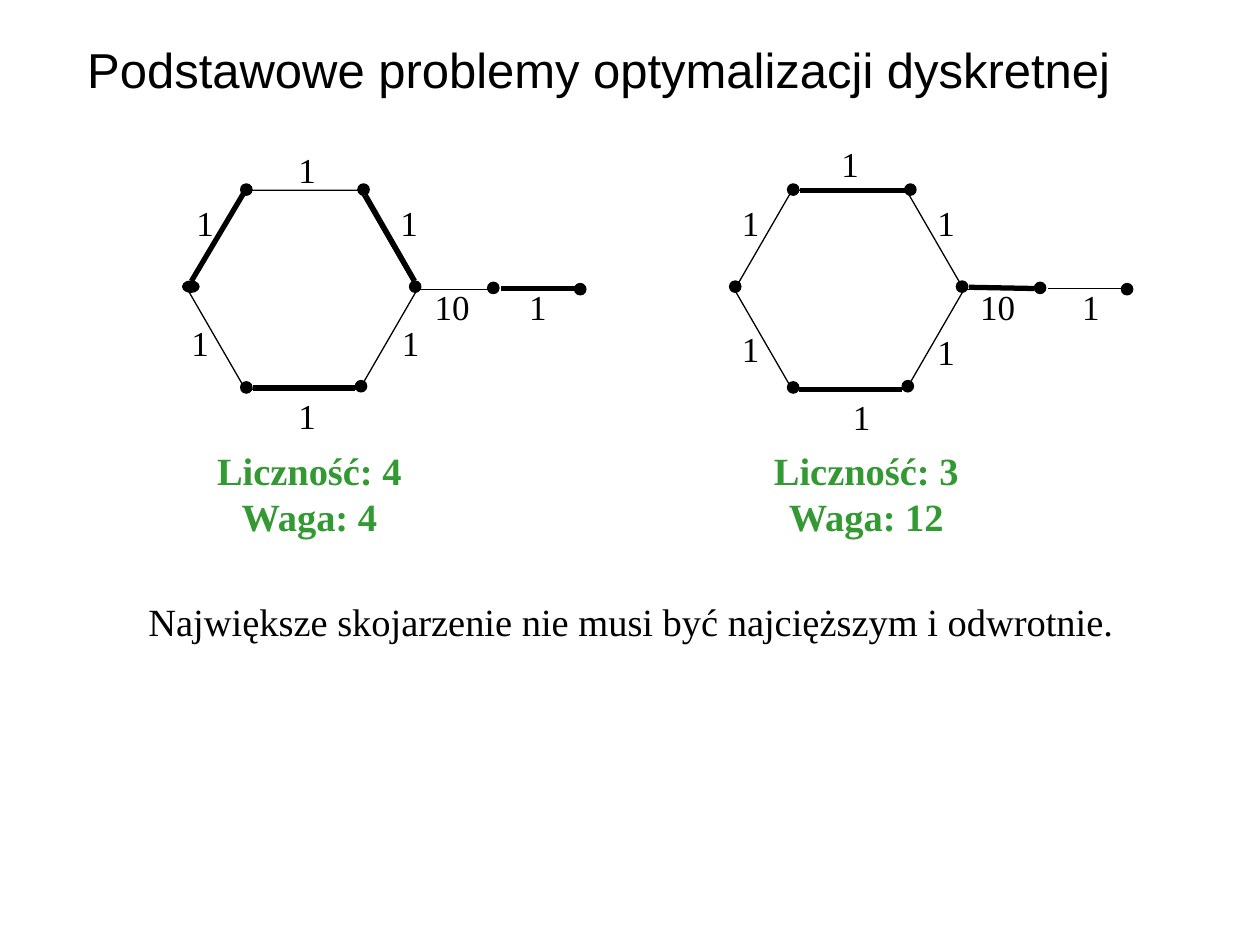
from pptx import Presentation
from pptx.dml.color import RGBColor
from pptx.enum.shapes import MSO_CONNECTOR, MSO_SHAPE
from pptx.enum.text import MSO_ANCHOR, PP_ALIGN
from pptx.oxml.ns import qn
from pptx.util import Inches, Pt
from lxml import etree

STRAIGHT = MSO_CONNECTOR.STRAIGHT
HEXAGON, OVAL = MSO_SHAPE.HEXAGON, MSO_SHAPE.OVAL
MIDDLE, TOP = MSO_ANCHOR.MIDDLE, MSO_ANCHOR.TOP
LEFT, CENTER = PP_ALIGN.LEFT, PP_ALIGN.CENTER

COLORS = {"ink": "000000", "result": "339933"}
THIN, BOLD = 0.75, 3
DOT = 0.09
HEXAGON_SIZE = (1.82, 1.58)
LABEL_HEIGHT = 0.48

TITLE = {"name": "Arial", "size": Pt(28)}
LABEL = {"name": "Times New Roman", "size": Pt(20)}
RESULT = {"name": "Times New Roman", "size": Pt(22), "bold": True}
SUMMARY = {"name": "Times New Roman", "size": Pt(22)}

NODES = [(0.42, -0.05), (1.35, -0.05), (1.76, 0.72), (1.33, 1.51),
         (0.42, 1.52), (2.38, 0.73), (3.07, 0.74)]

GRAPHS = [
    {
        "origin": (1.49, 1.51),
        "west_node": (-0.04, 0.72, 0.13),
        "tail": [(1.83, 0.79, 2.4, 0.79), (2.5, 0.79, 3.07, 0.79)],
        "matching": [(1.41, 0.04, 1.8, 0.72), (0.44, 0.03, 0.03, 0.72),
                     (0.52, 1.57, 1.33, 1.57), (2.49, 0.78, 3.08, 0.78)],
        "weights": [("1", 0.78, -0.38), ("1", 1.59, 0.04), ("1", 1.6, 0.99),
                    ("1", 0.78, 1.57), ("1", -0.07, 0.99), ("1", -0.03, 0.04),
                    ("10", 1.86, 0.71), ("1", 2.61, 0.71)],
        "result": (["Liczność: 4", "Waga: 4"], 0.01),
    },
    {
        "origin": (5.83, 1.51),
        "west_node": (-0.04, 0.72, DOT),
        "tail": [(1.83, 0.79, 2.4, 0.79), (2.49, 0.78, 3.07, 0.78)],
        "matching": [(0.52, 0, 1.35, 0), (1.86, 0.77, 2.38, 0.78),
                     (0.51, 1.58, 1.33, 1.58)],
        "weights": [("1", 0.75, -0.43), ("1", 1.51, 0.04), ("1", 1.51, 1.06),
                    ("1", 0.84, 1.58), ("1", -0.04, 1.04), ("1", -0.04, 0.04),
                    ("10", 1.85, 0.71), ("1", 2.66, 0.71)],
        "result": (["Liczność: 3", "Waga: 12"], 0.09),
    },
]


def add_text(shapes, box, lines, font, color="ink", align=LEFT, anchor=TOP):
    """Write one paragraph per line into a text box."""
    frame = shapes.add_textbox(*map(Inches, box)).text_frame
    frame.word_wrap = True
    frame.vertical_anchor = anchor
    for index, line in enumerate(lines):
        para = frame.paragraphs[0] if index == 0 else frame.add_paragraph()
        para.alignment = align
        span = para.add_run()
        span.text = line
        for key, value in font.items():
            setattr(span.font, key, value)
        span.font.color.rgb = RGBColor.from_string(COLORS[color])


def style_line(shape, width):
    """Give a shape or connector an ink line."""
    shape.line.color.rgb = RGBColor.from_string(COLORS["ink"])
    shape.line.width = Pt(width)


def add_edge(shapes, ends, width):
    """Draw a straight edge between two points."""
    edge = shapes.add_connector(STRAIGHT, *map(Inches, ends))
    style_line(edge, width)
    etree.SubElement(edge._element.spPr, qn("a:effectLst"))


def add_node(shapes, box):
    """Draw a filled graph node."""
    node = shapes.add_shape(OVAL, *map(Inches, box))
    node.shadow.inherit = False
    node.fill.solid()
    node.fill.fore_color.rgb = RGBColor.from_string(COLORS["ink"])
    style_line(node, THIN)


def add_graph(page, graph):
    """Draw a hexagon graph with its tail, matching, weights and result."""
    left, top = graph["origin"]
    shapes = page.shapes.add_group_shape().shapes
    ring = shapes.add_shape(HEXAGON, *map(Inches, (left, top, *HEXAGON_SIZE)))
    ring.adjustments[0] = 0.289
    ring.shadow.inherit = False
    ring.fill.background()
    style_line(ring, THIN)
    for edges, width in ((graph["tail"], THIN), (graph["matching"], BOLD)):
        for x1, y1, x2, y2 in edges:
            add_edge(shapes, (left + x1, top + y1, left + x2, top + y2), width)
    nodes = [(x, y, DOT) for x, y in NODES] + [graph["west_node"]]
    for x, y, width in nodes:
        add_node(shapes, (left + x, top + y, width, DOT))
    for weight, x, y in graph["weights"]:
        width = 0.25 + 0.13 * len(weight)
        add_text(shapes, (left + x, top + y, width, LABEL_HEIGHT), [weight], LABEL)
    lines, x = graph["result"]
    add_text(shapes, (left + x, top + 1.99, 1.91, 0.84), lines, RESULT, "result", CENTER)


def main():
    """Build the slide and save the deck."""
    deck = Presentation()
    deck.slide_width, deck.slide_height = Inches(10), Inches(7.5)
    page = deck.slides.add_slide(deck.slide_layouts[6])
    add_text(page.shapes, (-0.25, -0.08, 10, 1.25),
             ["Podstawowe problemy optymalizacji dyskretnej"],
             TITLE, align=CENTER, anchor=MIDDLE)
    for graph in GRAPHS:
        add_graph(page, graph)
    add_text(page.shapes, (1.08, 4.7, 8.25, 0.47),
             ["Największe skojarzenie nie musi być najcięższym i odwrotnie."],
             SUMMARY)
    deck.save("out.pptx")


if __name__ == "__main__":
    main()
